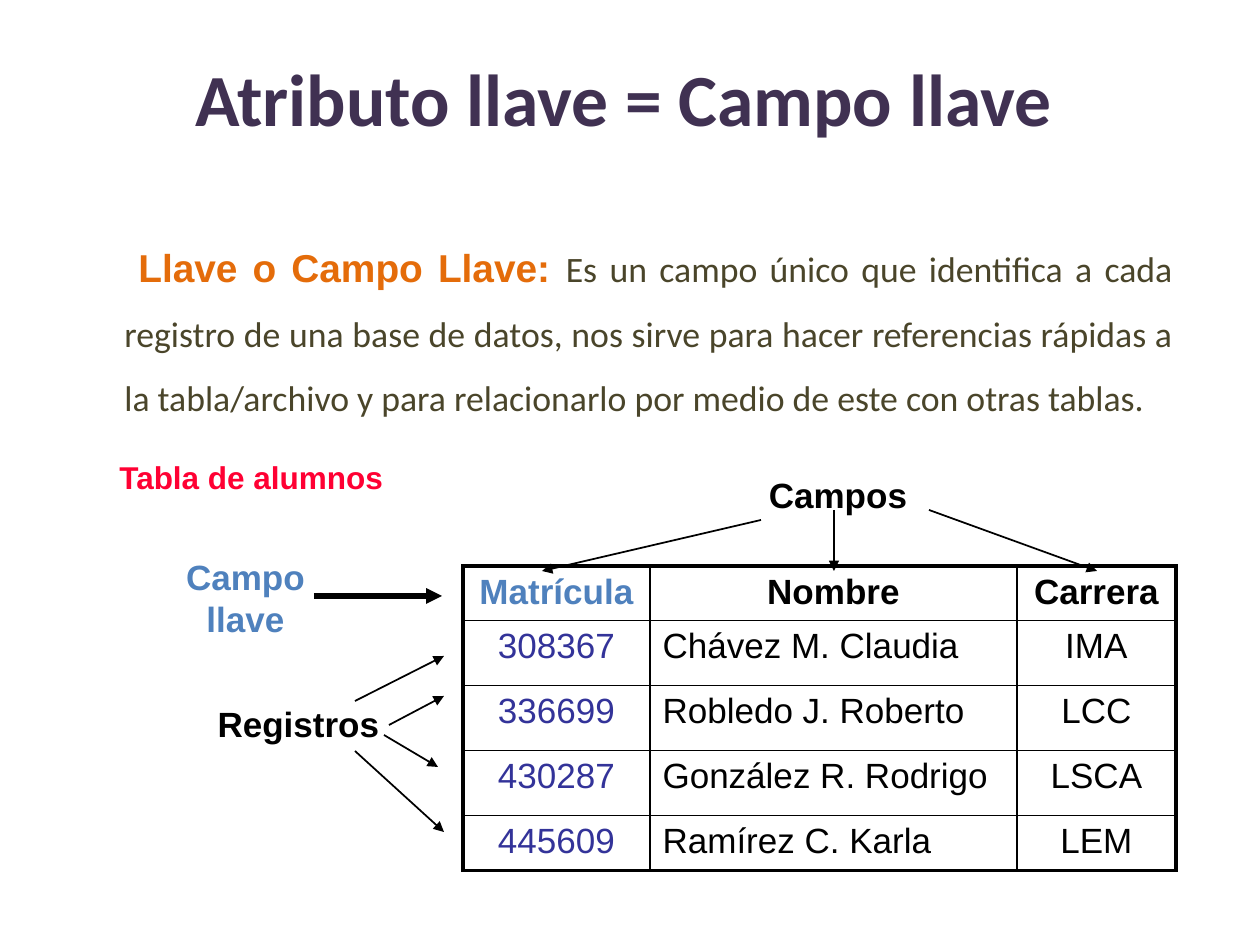
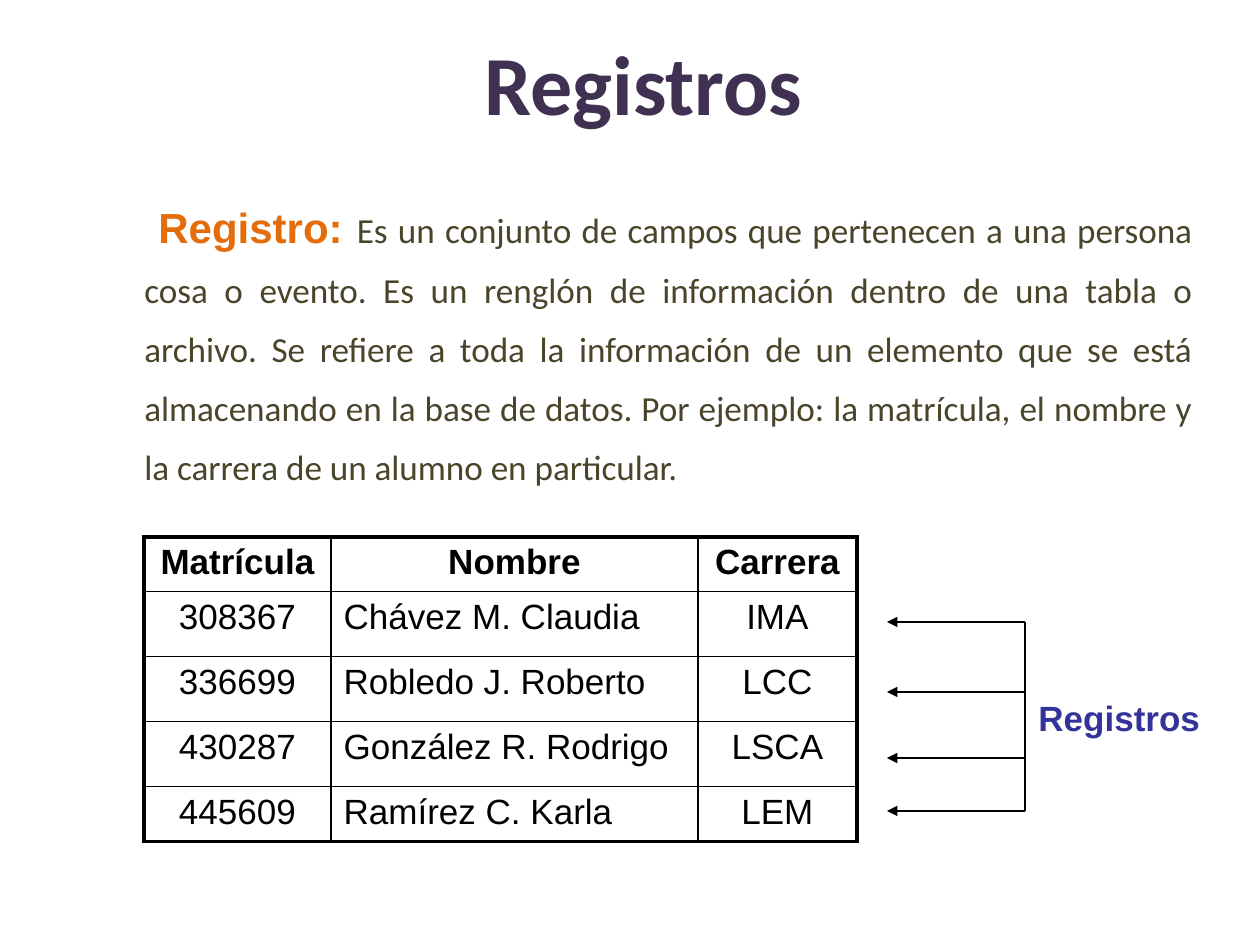
"""Builds two slides on key fields and records of a student table."""
from lxml.etree import SubElement
from pptx import Presentation
from pptx.dml.color import RGBColor
from pptx.enum.shapes import MSO_CONNECTOR
from pptx.enum.text import MSO_ANCHOR, PP_ALIGN
from pptx.oxml.ns import qn
from pptx.util import Emu, Pt

PX = 914400 / 126
BLACK = RGBColor(0x00, 0x00, 0x00)
PURPLE = RGBColor(0x40, 0x31, 0x52)
ORANGE = RGBColor(0xE4, 0x6C, 0x0A)
OLIVE = RGBColor(0x4A, 0x45, 0x2A)
BLUE = RGBColor(0x4F, 0x81, 0xBD)
INDIGO = RGBColor(0x33, 0x33, 0x99)
RED = RGBColor(0xFF, 0x00, 0x33)

STUDENTS = [
    ("Matrícula", "Nombre", "Carrera"),
    ("308367", "Chávez M. Claudia", "IMA"),
    ("336699", "Robledo J. Roberto", "LCC"),
    ("430287", "González R. Rodrigo", "LSCA"),
    ("445609", "Ramírez C. Karla", "LEM"),
]
COLUMN_WIDTHS = (187, 367, 159)
ROW_HEIGHTS = (52, 65, 65, 65, 51)
NAME_COLUMN = 1
BODY_MARGIN, FIRST_LINE = 48, 14
THIN, OUTER, HEAVY = 1, 2.25, 3

BRACKET_RIGHT, BRACKET_TIP = 1025, 887
RECORD_LEVELS = (622, 692, 758, 811)

SLIDES = [
    {
        "title": ("Atributo llave = Campo llave", (64, 45, 1119, 105), 42),
        "body": ((64, 214, 1121, 268), 1.5,
                 ("Llave o Campo Llave: ", 22.2),
                 ("Es un campo único que identifica a cada registro de una base de datos, "
                  "nos sirve para hacer referencias rápidas a la tabla/archivo y para "
                  "relacionarlo por medio de este con otras tablas.", 20.4)),
        "table": ((463, 566), BLUE, INDIGO),
        "labels": [
            ("Campo llave", (156, 549, 179, 97), 20, BLUE, PP_ALIGN.CENTER),
            ("Registros", (185, 696, 227, 54), 20, BLACK, PP_ALIGN.CENTER),
            ("Campos", (696, 467, 284, 54), 20, BLACK, PP_ALIGN.CENTER),
            ("Tabla de alumnos", (107, 452, 397, 63), 18, RED, PP_ALIGN.LEFT),
        ],
        "lines": [
            ((314, 596, 442, 596), HEAVY, True),
            ((355, 701, 444, 656), THIN, True),
            ((389, 725, 444, 696), THIN, True),
            ((355, 751, 444, 832), THIN, True),
            ((384, 735, 438, 767), THIN, True),
            ((761, 520, 542, 571), THIN, True),
            ((834, 510, 834, 571), THIN, True),
            ((929, 510, 1097, 571), THIN, True),
        ],
    },
    {
        "title": ("Registros", (141, 6, 1005, 152), 48),
        "body": ((84, 175, 1121, 328), 1.4,
                 ("Registro: ", 24),
                 ("Es un conjunto de campos que pertenecen a una persona cosa o evento. "
                  "Es un renglón de información dentro de una tabla o archivo. Se refiere a "
                  "toda la información de un elemento que se está almacenando en la base de "
                  "datos. Por ejemplo: la matrícula, el nombre y la carrera de un alumno en "
                  "particular.", 20.1)),
        "table": ((144, 537), BLACK, BLACK),
        "labels": [("Registros", (1026, 690, 234, 54), 20, INDIGO, PP_ALIGN.LEFT)],
        "lines": [
            ((BRACKET_RIGHT, RECORD_LEVELS[0], BRACKET_RIGHT, RECORD_LEVELS[-1]), THIN, False),
            *[((BRACKET_RIGHT, y, BRACKET_TIP, y), THIN, True) for y in RECORD_LEVELS],
        ],
    },
]


def emu(values):
    return [Emu(round(value * PX)) for value in values]


def style(span, size, color, bold=True, font="Arial"):
    span.font.name = font
    span.font.size = Pt(size)
    span.font.bold = bold
    span.font.color.rgb = color


def add_title(page, text, frame, size):
    title = page.shapes.title
    title.left, title.top, title.width, title.height = emu(frame)
    title.text_frame.text = text
    title.text_frame.vertical_anchor = MSO_ANCHOR.MIDDLE
    para = title.text_frame.paragraphs[0]
    para.alignment = PP_ALIGN.CENTER
    style(para.runs[0], size, PURPLE, font="Calibri")


def add_text(page, frame, align):
    box = page.shapes.add_textbox(*emu(frame))
    box.text_frame.word_wrap = True
    para = box.text_frame.paragraphs[0]
    para.alignment = align
    return para


def add_label(page, text, frame, size, color, align):
    para = add_text(page, frame, align)
    para.text = text
    style(para.runs[0], size, color)


def add_body(page, frame, spacing, term, definition):
    para = add_text(page, frame, PP_ALIGN.JUSTIFY)
    para.line_spacing = spacing
    margin, indent = emu((BODY_MARGIN, FIRST_LINE))
    properties = para._p.get_or_add_pPr()
    properties.set("marL", str(margin))
    properties.set("indent", str(indent))
    for (text, size), color, bold, font in ((term, ORANGE, True, "Arial"),
                                            (definition, OLIVE, False, "Calibri")):
        span = para.add_run()
        span.text = text
        style(span, size, color, bold, font)


def add_borders(cell, row, column):
    properties = cell._tc.get_or_add_tcPr()
    on_edge = {
        "a:lnL": column == 0,
        "a:lnR": column == len(COLUMN_WIDTHS) - 1,
        "a:lnT": row == 0,
        "a:lnB": row == len(ROW_HEIGHTS) - 1,
    }
    for tag, outer in on_edge.items():
        width = Pt(OUTER if outer else THIN)
        border = SubElement(properties, qn(tag), w=str(width))
        fill = SubElement(border, qn("a:solidFill"))
        SubElement(fill, qn("a:srgbClr"), val=str(BLACK))


def add_students(page, corner, key_header_color, key_color):
    size = (sum(COLUMN_WIDTHS), sum(ROW_HEIGHTS))
    table = page.shapes.add_table(len(ROW_HEIGHTS), len(COLUMN_WIDTHS),
                                  *emu((*corner, *size))).table
    table.first_row = table.horz_banding = False
    for column, width in zip(table.columns, emu(COLUMN_WIDTHS)):
        column.width = width
    for row, height in zip(table.rows, emu(ROW_HEIGHTS)):
        row.height = height
    for row, record in enumerate(STUDENTS):
        for column, text in enumerate(record):
            cell = table.cell(row, column)
            header = row == 0
            color = BLACK
            if column == 0:
                color = key_header_color if header else key_color
            cell.text_frame.text = text
            para = cell.text_frame.paragraphs[0]
            left = column == NAME_COLUMN and not header
            para.alignment = PP_ALIGN.LEFT if left else PP_ALIGN.CENTER
            style(para.runs[0], 20, color, bold=header)
            add_borders(cell, row, column)
            cell.fill.background()


def add_line(page, ends, width, arrow):
    line = page.shapes.add_connector(MSO_CONNECTOR.STRAIGHT, *emu(ends))
    line.line.color.rgb = BLACK
    line.line.width = Pt(width)
    if arrow:
        SubElement(line.line._get_or_add_ln(), qn("a:tailEnd"), type="triangle")
    SubElement(line._element.spPr, qn("a:effectLst"))


def main():
    deck = Presentation()
    deck.slide_width, deck.slide_height = emu((1260, 945))
    for content in SLIDES:
        page = deck.slides.add_slide(deck.slide_layouts[5])
        add_title(page, *content["title"])
        add_body(page, *content["body"])
        add_students(page, *content["table"])
        for label in content["labels"]:
            add_label(page, *label)
        for line in content["lines"]:
            add_line(page, *line)
    deck.save("out.pptx")


if __name__ == "__main__":
    main()
